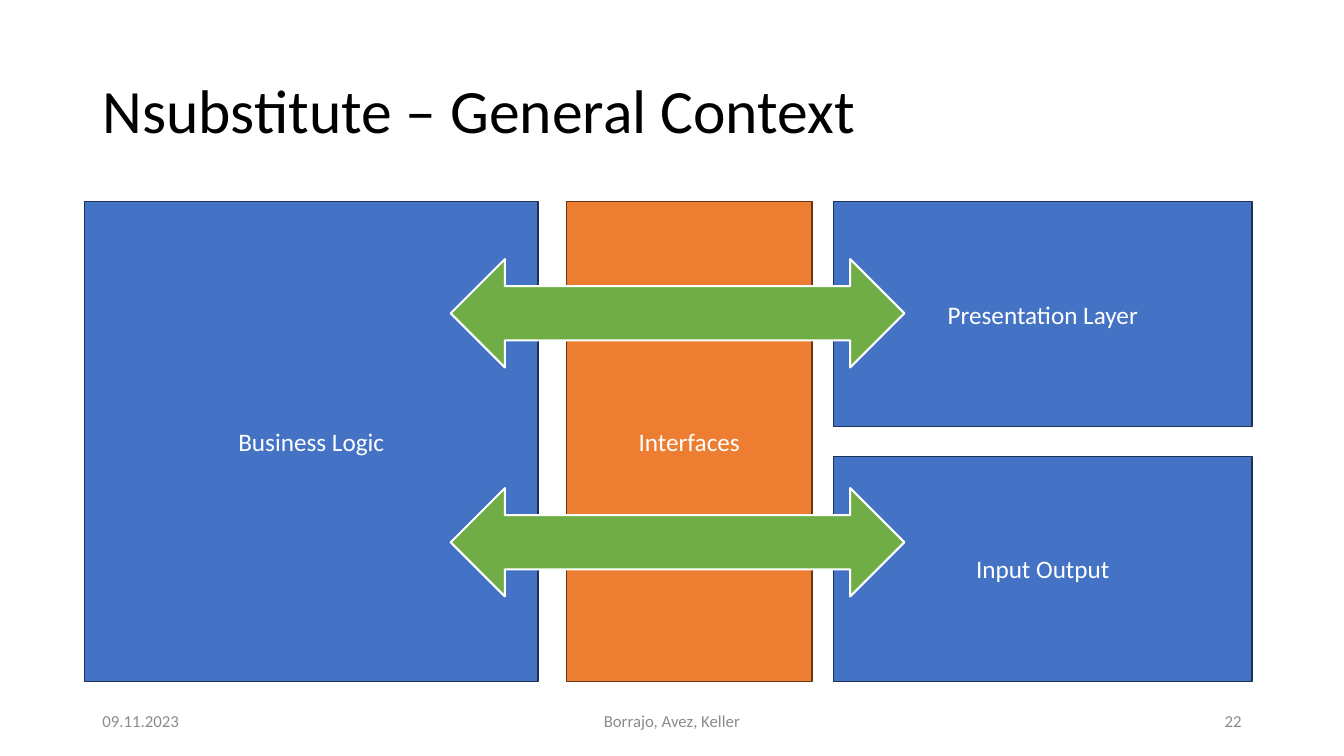
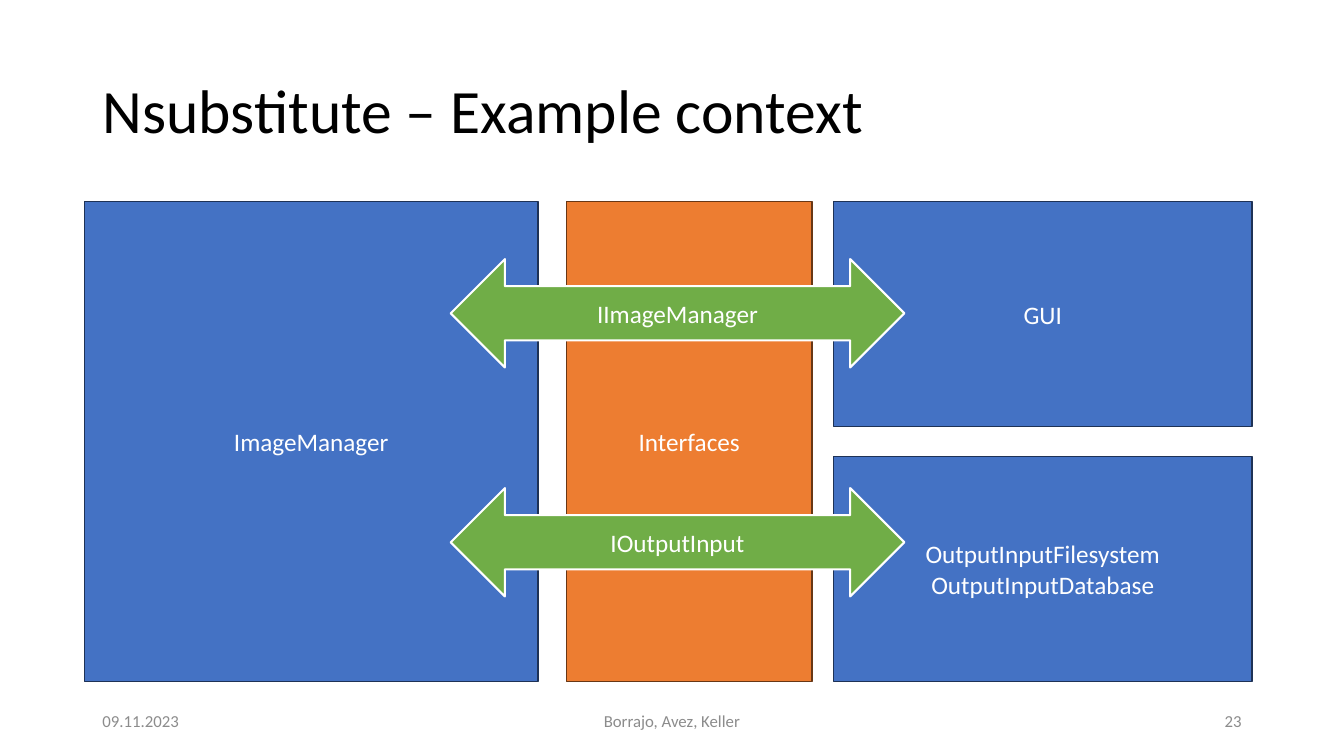
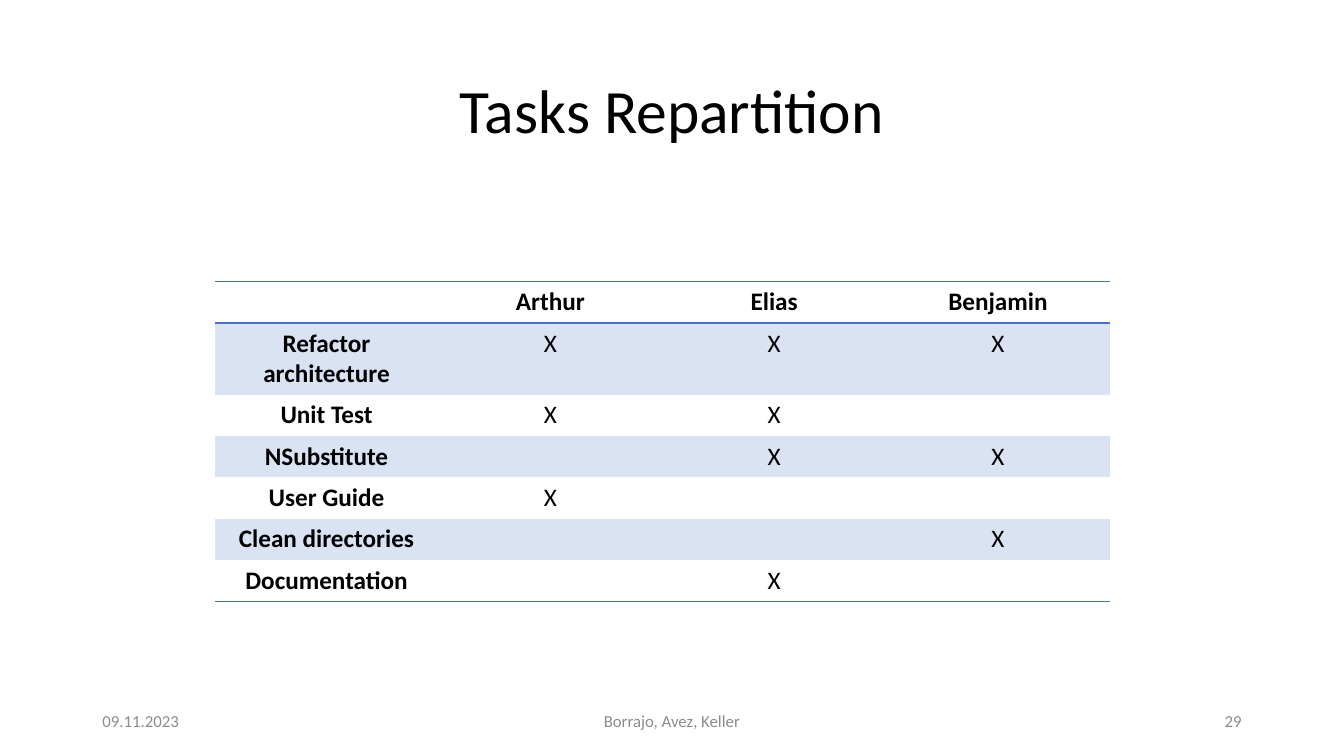
"""Build three slides: two layered architecture diagrams and a task table."""
from dataclasses import dataclass

from lxml import etree
from pptx import Presentation
from pptx.dml.color import RGBColor
from pptx.enum import shapes, text
from pptx.oxml import ns
from pptx.util import Cm, Pt


@dataclass(frozen=True)
class Theme:
    font: str = "Calibri"
    black: str = "000000"
    white: str = "FFFFFF"
    grey: str = "8C8C8C"
    blue: str = "4472C4"
    navy: str = "1E3256"
    orange: str = "ED7D31"
    brown: str = "683715"
    green: str = "70AD47"
    band: str = "DAE3F3"
    title_size: int = 44
    body_size: int = 18
    footer_size: int = 12


theme = Theme()
LEFT, CENTER, RIGHT = text.PP_ALIGN.LEFT, text.PP_ALIGN.CENTER, text.PP_ALIGN.RIGHT
RECTANGLE = shapes.MSO_SHAPE.RECTANGLE
ARROW = shapes.MSO_SHAPE.LEFT_RIGHT_ARROW


def write(frame, words, size, color, align=CENTER, bold=False):
    frame.text = words
    frame.word_wrap = True
    frame.vertical_anchor = text.MSO_ANCHOR.MIDDLE
    for paragraph in frame.paragraphs:
        paragraph.alignment = align
        paragraph.font.name = theme.font
        paragraph.font.size = Pt(size)
        paragraph.font.bold = bold
        paragraph.font.color.rgb = RGBColor.from_string(color)


def start_slide(heading, number, align=LEFT):
    slide = deck.slides.add_slide(deck.slide_layouts[5])
    title = slide.shapes.title
    title.left, title.top, title.width, title.height = Cm(2.33), Cm(1.01), Cm(29.21), Cm(3.68)
    write(title.text_frame, heading, theme.title_size, theme.black, align)
    title.text_frame.auto_size = text.MSO_AUTO_SIZE.NONE
    title.text_frame.paragraphs[0].line_spacing = 0.9
    for words, left, width, side in (
        ("09.11.2023", 2.33, 7.62, LEFT),
        ("Borrajo, Avez, Keller", 11.22, 11.43, CENTER),
        (str(number), 23.92, 7.62, RIGHT),
    ):
        footer = slide.shapes.add_textbox(Cm(left), Cm(17.65), Cm(width), Cm(1.01))
        write(footer.text_frame, words, theme.footer_size, theme.grey, side)
    return slide


deck = Presentation()
deck.slide_width, deck.slide_height = Cm(33.87), Cm(19.05)

blue_box = (RECTANGLE, theme.blue, theme.navy, 1)
orange_box = (RECTANGLE, theme.orange, theme.brown, 1)
green_arrow = (ARROW, theme.green, theme.white, 1.5)
layers = (
    (blue_box, 2.13, 5.08, 11.43, 12.09),
    (blue_box, 21.01, 5.08, 10.54, 5.67),
    (blue_box, 21.01, 11.5, 10.54, 5.67),
    (orange_box, 14.27, 5.08, 6.2, 12.09),
    (green_arrow, 11.36, 6.53, 11.43, 2.73),
    (green_arrow, 11.36, 12.3, 11.43, 2.73),
)
diagrams = (
    ("Nsubstitute – General Context", 22,
     ("Business Logic", "Presentation Layer", "Input Output", "Interfaces", "", "")),
    ("Nsubstitute – Example context", 23,
     ("ImageManager", "GUI", "OutputInputFilesystem\nOutputInputDatabase", "Interfaces",
      "IImageManager", "IOutputInput")),
)
for heading, number, labels in diagrams:
    slide = start_slide(heading, number)
    for label, (style, *place) in zip(labels, layers):
        outline, fill, edge, weight = style
        layer = slide.shapes.add_shape(outline, *map(Cm, place))
        layer.shadow.inherit = False
        layer.fill.solid()
        layer.fill.fore_color.rgb = RGBColor.from_string(fill)
        layer.line.color.rgb = RGBColor.from_string(edge)
        layer.line.width = Pt(weight)
        if label:
            write(layer.text_frame, label, theme.body_size, theme.white)

people = ("Arthur", "Elias", "Benjamin")
tasks = (
    ("Refactor architecture", people),
    ("Unit Test", ("Arthur", "Elias")),
    ("NSubstitute", ("Elias", "Benjamin")),
    ("User Guide", ("Arthur",)),
    ("Clean directories", ("Benjamin",)),
    ("Documentation", ("Elias",)),
)
rows = [("", *people)]
for task, owners in tasks:
    rows.append((task, *("X" if person in owners else "" for person in people)))

slide = start_slide("Tasks Repartition", 29, CENTER)
table_frame = slide.shapes.add_table(
    len(rows), len(rows[0]), Cm(5.41), Cm(7.1), Cm(22.56), Cm(8.05))
assignments = table_frame.table
style_id = assignments._tbl.tblPr.find(ns.qn("a:tableStyleId"))
style_id.text = "{2D5ABB26-0587-4C30-8999-92F81FD0307C}"
for column in assignments.columns:
    column.width = Cm(5.64)
for r, row in enumerate(rows):
    assignments.rows[r].height = Cm(1.81 if r == 1 else 1.04)
    edges = {0: ("a:lnT", "a:lnB"), len(rows) - 1: ("a:lnB",)}.get(r, ())
    for c, words in enumerate(row):
        cell = assignments.cell(r, c)
        write(cell.text_frame, words, theme.body_size, theme.black, bold=r == 0 or c == 0)
        cell.vertical_anchor = text.MSO_ANCHOR.TOP
        for edge in edges:
            border = etree.SubElement(
                cell._tc.get_or_add_tcPr(), ns.qn(edge), w=str(Pt(1)))
            paint = etree.SubElement(border, ns.qn("a:solidFill"))
            etree.SubElement(paint, ns.qn("a:srgbClr"), val=theme.blue)
        if r % 2:
            cell.fill.solid()
            cell.fill.fore_color.rgb = RGBColor.from_string(theme.band)
        else:
            cell.fill.background()

deck.save("out.pptx")
